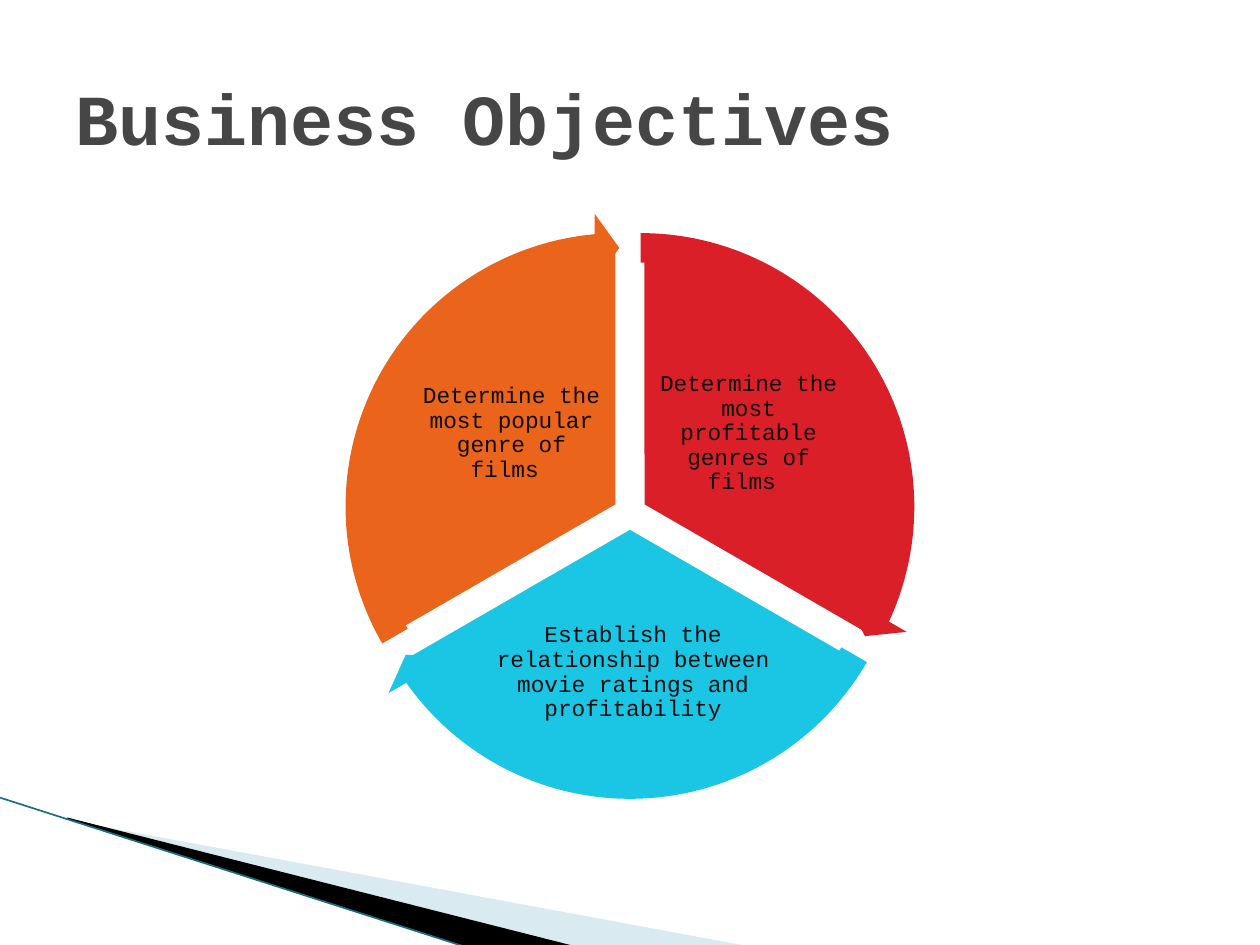
from dataclasses import dataclass
from math import cos, radians, sin

from lxml import etree
from pptx import Presentation
from pptx import util as u
from pptx.dml.color import RGBColor
from pptx.enum import shapes, text
from pptx.oxml.ns import qn

COLORS = {
    "red": "DA1F28", "cyan": "1BC6E5", "orange": "EB641B", "white": "FFFFFF",
    "pale": "A0CBDC", "black": "000000", "teal": "1A6F82",
    "label": "0D0D0D", "title": "464646",
}
FONT = "Courier New"
CENTER_X, CENTER_Y, OFFSET = 12.7, 10.34, 0.25
PIE_SIZE, ARROW_SIZE = 10.57, 11.86


@dataclass
class Sector:
    label: str
    color: str
    bisector: float
    pie: tuple[float, float]
    arrow: tuple[float, float]
    box: tuple[float, float, float, float]


@dataclass
class Wedge:
    color: str
    points: list[tuple[float, float]]
    alpha: int = 100


SECTORS = [
    Sector("Determine the most profitable genres of films ", "red", -30,
           (162, 18), (14.73, 161.99), (13.21, 7.16, 3.76, 3.15)),
    Sector("Establish the relationship between movie ratings and profitability",
           "cyan", 90, (18, 90), (86.72, 18), (9.93, 12.17, 5.66, 2.77)),
    Sector("Determine the most popular genre of films ", "orange", 210,
           (90, 162), (158.73, 90), (8.43, 7.16, 3.76, 3.15)),
]
WEDGES = [
    Wedge("pale", [(1.4, 16.54), (15.11, 19.08), (11.58, 19.08), (1.4, 16.51)], 40),
    Wedge("black", [(1.35, 16.48), (11.61, 19.08), (9.45, 19.1), (1.37, 16.51)]),
]


def rgb(name: str) -> RGBColor:
    return RGBColor.from_string(COLORS[name])


def paint(shape, color: str) -> None:
    shape.shadow.inherit = False
    shape.fill.solid()
    shape.fill.fore_color.rgb = rgb(color)
    shape.line.fill.background()


def format_run(r, size: float, color: str, bold: bool = False) -> None:
    for name, value in {"name": FONT, "size": u.Pt(size), "bold": bold}.items():
        setattr(r.font, name, value)
    r.font.color.rgb = rgb(color)


def add_wedge(s, wedge: Wedge) -> None:
    points = [(u.Cm(x), u.Cm(y)) for x, y in wedge.points]
    builder = s.shapes.build_freeform(*points[0])
    builder.add_line_segments(points[1:], close=True)
    shape = builder.convert_to_shape()
    paint(shape, wedge.color)
    if wedge.alpha < 100:
        color = shape.fill._xPr.find(qn("a:solidFill"))[0]
        etree.SubElement(color, qn("a:alpha"), val=str(wedge.alpha * 1000))


def add_round(s, kind, sector: Sector, size: float, adjustments: tuple[float, ...]):
    angle = radians(sector.bisector)
    left = CENTER_X + OFFSET * cos(angle) - size / 2
    top = CENTER_Y + OFFSET * sin(angle) - size / 2
    shape = s.shapes.add_shape(kind, u.Cm(left), u.Cm(top), u.Cm(size), u.Cm(size))
    for i, value in enumerate(adjustments):
        shape.adjustments[i] = value
    paint(shape, sector.color)
    return shape


def add_pie(s, sector: Sector) -> None:
    pie = add_round(s, shapes.MSO_SHAPE.PIE, sector, PIE_SIZE, sector.pie)
    pie.line.color.rgb = rgb("white")
    pie.line.width = u.Pt(4.33)


def add_label(s, sector: Sector) -> None:
    tf = s.shapes.add_textbox(*map(u.Cm, sector.box)).text_frame
    inset = u.Cm(0.05)
    frame = {"word_wrap": True, "vertical_anchor": text.MSO_ANCHOR.MIDDLE,
             "margin_left": inset, "margin_right": inset,
             "margin_top": inset, "margin_bottom": inset}
    for name, value in frame.items():
        setattr(tf, name, value)
    p = tf.paragraphs[0]
    p.alignment = text.PP_ALIGN.CENTER
    p.line_spacing = 0.9
    r = p.add_run()
    r.text = sector.label
    format_run(r, 13, "label")


def add_edge(s) -> None:
    edge = s.shapes.add_connector(shapes.MSO_CONNECTOR.STRAIGHT,
                                  u.Cm(0), u.Cm(16.08), u.Cm(9.42), u.Cm(19.1))
    edge.line.color.rgb = rgb("teal")
    edge.line.width = u.Pt(0.95)
    etree.SubElement(edge._element.spPr, qn("a:effectLst"))


def add_title(s, title: str) -> None:
    sp = s.shapes.title
    box = {"left": 1.27, "top": 0.76, "width": 22.86, "height": 3.18}
    for name, value in box.items():
        setattr(sp, name, u.Cm(value))
    tf = sp.text_frame
    tf.vertical_anchor = text.MSO_ANCHOR.MIDDLE
    p = tf.paragraphs[0]
    p.alignment = text.PP_ALIGN.LEFT
    r = p.add_run()
    r.text = title
    format_run(r, 41, "title", True)


prs = Presentation()
prs.slide_width, prs.slide_height = u.Cm(25.4), u.Cm(19.05)
s = prs.slides.add_slide(prs.slide_layouts[5])
add_title(s, "Business Objectives")
for wedge in WEDGES:
    add_wedge(s, wedge)
add_edge(s)
for sector in SECTORS:
    add_pie(s, sector)
    add_label(s, sector)
for sector in SECTORS:
    start, end = sector.arrow
    add_round(s, shapes.MSO_SHAPE.CIRCULAR_ARROW, sector, ARROW_SIZE,
              (0.05, 3.28, start, end, 0.06))
prs.save("out.pptx")
